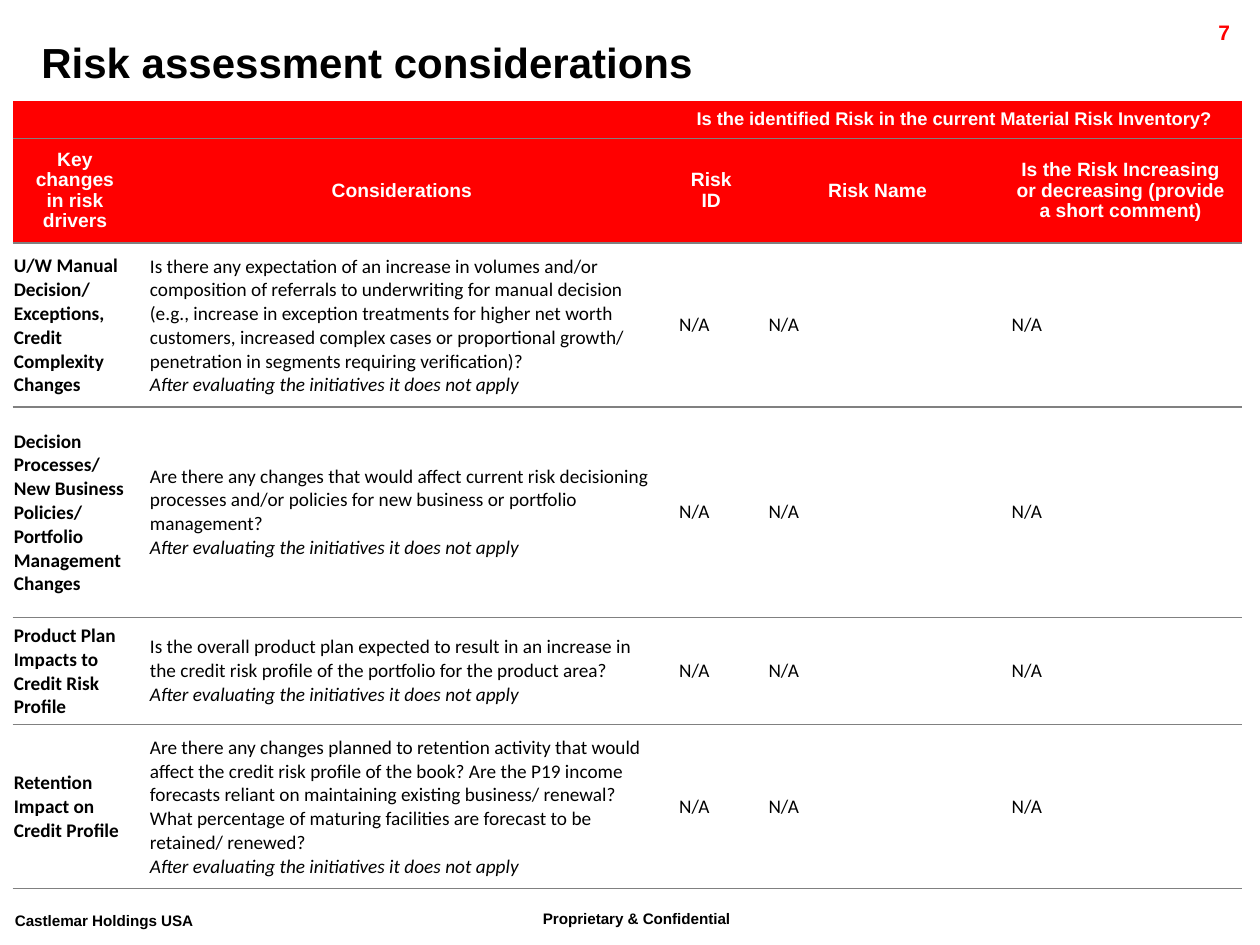
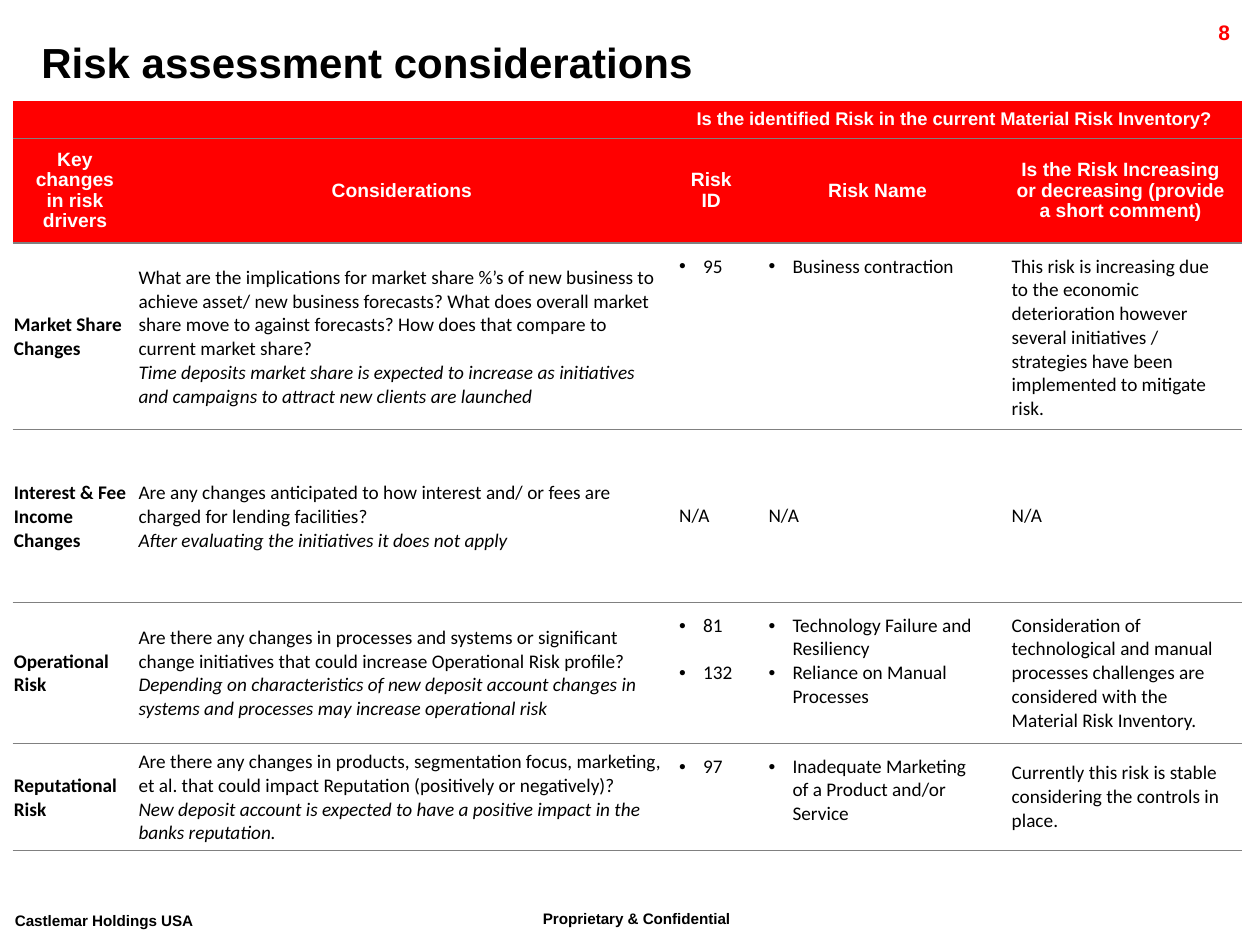
"""Build two risk assessment slides, each a table of drivers and considerations."""
from lxml import etree
from pptx import Presentation
from pptx import util as u
from pptx.dml.color import RGBColor
from pptx.enum import text
from pptx.oxml import ns

RED = RGBColor(0xFF, 0x00, 0x00)
WHITE = RGBColor(0xFF, 0xFF, 0xFF)
BLACK = RGBColor(0x00, 0x00, 0x00)
RULE_GREY = RGBColor(0x80, 0x80, 0x80)

COLUMN_WIDTHS = [0.99, 4.2, 0.71, 1.93, 1.93]
HEADER_HEIGHTS = [0.29, 0.83]
TABLE_LEFT, TABLE_TOP = 0.1, 0.8
TIGHT = [0.01, 0.01, 0.01, 0]
LOOSE = [0.1, 0.09, 0.1, 0.09]
LINE_HEIGHT = 13.4

TITLE = "Risk assessment considerations"
INVENTORY_QUESTION = "Is the identified Risk in the current Material Risk Inventory?"
HEADINGS = [
    "Key changes in risk drivers",
    "Considerations",
    "Risk ID",
    "Risk Name",
    "Is the Risk Increasing or decreasing (provide a short comment)",
]
NOT_APPLICABLE = "After evaluating the initiatives it does not apply"
NO_RISK = ["N/A", "N/A", "N/A"]

PAGES = [
    {
        "question_margins": LOOSE,
        "heights": [1.3, 1.67, 0.85, 1.3],
        "rows": [
            ["U/W Manual Decision/ Exceptions, Credit Complexity Changes",
             "Is there any expectation of an increase in volumes and/or composition of "
             "referrals to underwriting for manual decision (e.g., increase in exception "
             "treatments for higher net worth customers, increased complex cases or "
             "proportional growth/ penetration in segments requiring verification)?\n"
             + NOT_APPLICABLE, *NO_RISK],
            ["Decision Processes/ New Business Policies/ Portfolio Management Changes",
             "Are there any changes that would affect current risk decisioning processes "
             "and/or policies for new business or portfolio management?\n"
             + NOT_APPLICABLE, *NO_RISK],
            ["Product Plan Impacts to Credit Risk Profile",
             "Is the overall product plan expected to result in an increase in the credit "
             "risk profile of the portfolio for the product area?\n"
             + NOT_APPLICABLE, *NO_RISK],
            ["Retention Impact on Credit Profile",
             "Are there any changes planned to retention activity that would affect the "
             "credit risk profile of the book? Are the P19 income forecasts reliant on "
             "maintaining existing business/ renewal? What percentage of maturing "
             "facilities are forecast to be retained/ renewed?\n"
             + NOT_APPLICABLE, *NO_RISK],
        ],
    },
    {
        "question_margins": TIGHT,
        "heights": [1.48, 1.37, 1.12, 0.85],
        "rows": [
            ["Market Share Changes",
             "What are the implications for market share %’s of new business to achieve "
             "asset/ new business forecasts? What does overall market share move to "
             "against forecasts? How does that compare to current market share?\n"
             "Time deposits market share is expected to increase as initiatives and "
             "campaigns to attract new clients are launched",
             "95", "Business contraction",
             "This risk is increasing due to the economic deterioration however several "
             "initiatives / strategies have been implemented to mitigate risk."],
            ["Interest & Fee Income Changes",
             "Are any changes anticipated to how interest and/ or fees are charged for "
             "lending facilities?\n" + NOT_APPLICABLE, *NO_RISK],
            ["Operational Risk",
             "Are there any changes in processes and systems or significant change "
             "initiatives that could increase Operational Risk profile?\n"
             "Depending on characteristics of new deposit account changes in systems and "
             "processes may increase operational risk",
             "81\n132",
             "Technology Failure and Resiliency\nReliance on Manual Processes",
             "Consideration of technological and manual processes challenges are "
             "considered with the Material Risk Inventory."],
            ["Reputational Risk",
             "Are there any changes in products, segmentation focus, marketing, et al. "
             "that could impact Reputation (positively or negatively)?\n"
             "New deposit account is expected to have a positive impact in the banks "
             "reputation.",
             "97", "Inadequate Marketing of a Product and/or Service",
             "Currently this risk is stable considering the controls in place."],
        ],
    },
]

# name: left, top, width, height, size, colour, alignment, baseline, wrap
FRAME_TEXTS = [
    ("Proprietary & Confidential", 4.21, 7.14, 2.18, 0.35, 15, BLACK, "LEFT", 30000, True),
    ("Castlemar Holdings USA", 0.02, 7.16, 1.91, 0.35, 15, BLACK, "LEFT", 30000, False),
    ("{page}", 8.91, 0.11, 0.95, 0.24, 12, RED, "RIGHT", 0, True),
    (TITLE, 0.23, 0.24, 9.82, 0.5, 24, BLACK, "LEFT", 0, True),
]


def style_runs(paragraph, name, size, colour, bold=False, italic=False):
    for run in paragraph.runs:
        run.font.name, run.font.size = name, u.Pt(size)
        run.font.bold, run.font.italic = bold, italic
        run.font.color.rgb = colour


def format_cell(cell, fill, margins, has_top_rule):
    cell.fill.solid()
    cell.fill.fore_color.rgb = fill
    cell.vertical_anchor = text.MSO_ANCHOR.MIDDLE
    (cell.margin_left, cell.margin_top,
     cell.margin_right, cell.margin_bottom) = map(u.Inches, margins)
    properties = cell._tc.get_or_add_tcPr()
    for position, side in enumerate("LRTB"):
        line = etree.Element(ns.qn(f"a:ln{side}"), w=str(u.Pt(1)))
        if side == "B" or (side == "T" and has_top_rule):
            paint = etree.SubElement(line, ns.qn("a:solidFill"))
            etree.SubElement(paint, ns.qn("a:srgbClr"), val=str(RULE_GREY))
        else:
            etree.SubElement(line, ns.qn("a:noFill"))
        properties.insert(position, line)


presentation = Presentation()
presentation.slide_width, presentation.slide_height = u.Inches(10), u.Inches(7.5)

for page_number, page in enumerate(PAGES, start=7):
    slide = presentation.slides.add_slide(presentation.slide_layouts[6])

    for wording, left, top, width, height, size, colour, side, baseline, wrap in FRAME_TEXTS:
        box = slide.shapes.add_textbox(*map(u.Inches, (left, top, width, height)))
        box.text_frame.word_wrap = wrap
        box.text_frame.text = wording.format(page=page_number)
        paragraph = box.text_frame.paragraphs[0]
        paragraph.alignment = text.PP_ALIGN[side]
        style_runs(paragraph, "Arial", size, colour, bold=True)
        if baseline:
            paragraph.runs[0]._r.get_or_add_rPr().set("baseline", str(baseline))

    heights = HEADER_HEIGHTS + page["heights"]
    table = slide.shapes.add_table(
        len(heights), len(COLUMN_WIDTHS), u.Inches(TABLE_LEFT), u.Inches(TABLE_TOP),
        u.Inches(sum(COLUMN_WIDTHS)), u.Inches(sum(heights))).table
    table.first_row = table.horz_banding = False
    for column, width in zip(table.columns, COLUMN_WIDTHS):
        column.width = u.Inches(width)
    for row, height in zip(table.rows, heights):
        row.height = u.Inches(height)

    headers = [["", "", INVENTORY_QUESTION, "", ""], HEADINGS]
    for row_index, labels in enumerate(headers):
        margins = [0.1, 0.05 * row_index, 0.1, 0.05 * row_index]
        for column_index, label in enumerate(labels):
            cell = table.cell(row_index, column_index)
            format_cell(cell, RED, margins, row_index > 0)
            if label:
                cell.text_frame.text = label
                paragraph = cell.text_frame.paragraphs[0]
                paragraph.alignment = text.PP_ALIGN.CENTER
                paragraph.line_spacing = 0.95
                style_runs(paragraph, "Arial", 10.5 + 0.5 * row_index, WHITE, bold=True)
    table.cell(0, 0).merge(table.cell(0, 1))
    table.cell(0, 2).merge(table.cell(0, 4))

    column_margins = [TIGHT, page["question_margins"], LOOSE, LOOSE, LOOSE]
    for row_index, entries in enumerate(page["rows"], start=len(headers)):
        for column_index, entry in enumerate(entries):
            cell = table.cell(row_index, column_index)
            format_cell(cell, WHITE, column_margins[column_index], True)
            cell.text_frame.text = entry
            bulleted = column_index in (2, 3) and entry != "N/A"
            if bulleted:
                cell.vertical_anchor = text.MSO_ANCHOR.TOP
            for order, paragraph in enumerate(cell.text_frame.paragraphs):
                if bulleted:
                    properties = paragraph._p.get_or_add_pPr()
                    properties.set("marL", str(u.Inches(0.19)))
                    properties.set("indent", str(-u.Inches(0.19)))
                    etree.SubElement(properties, ns.qn("a:buFont"), typeface="Arial")
                    etree.SubElement(properties, ns.qn("a:buChar"), char="•")
                    if column_index == 2 and order:
                        paragraph.space_before = u.Pt(LINE_HEIGHT)
                style_runs(paragraph, "Calibri", 11, BLACK, bold=column_index == 0,
                           italic=column_index == 1 and order == 1)

presentation.save("out.pptx")
